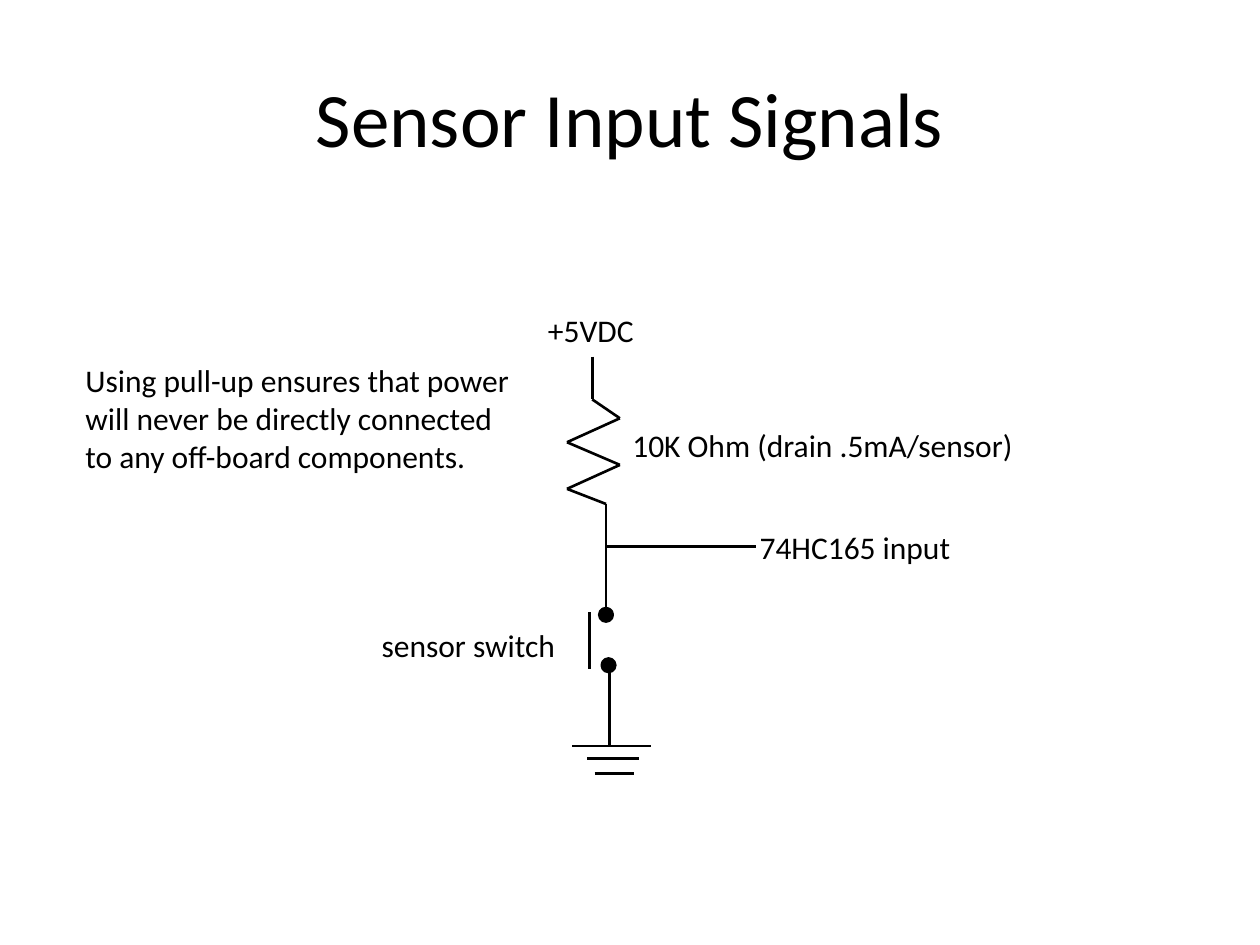
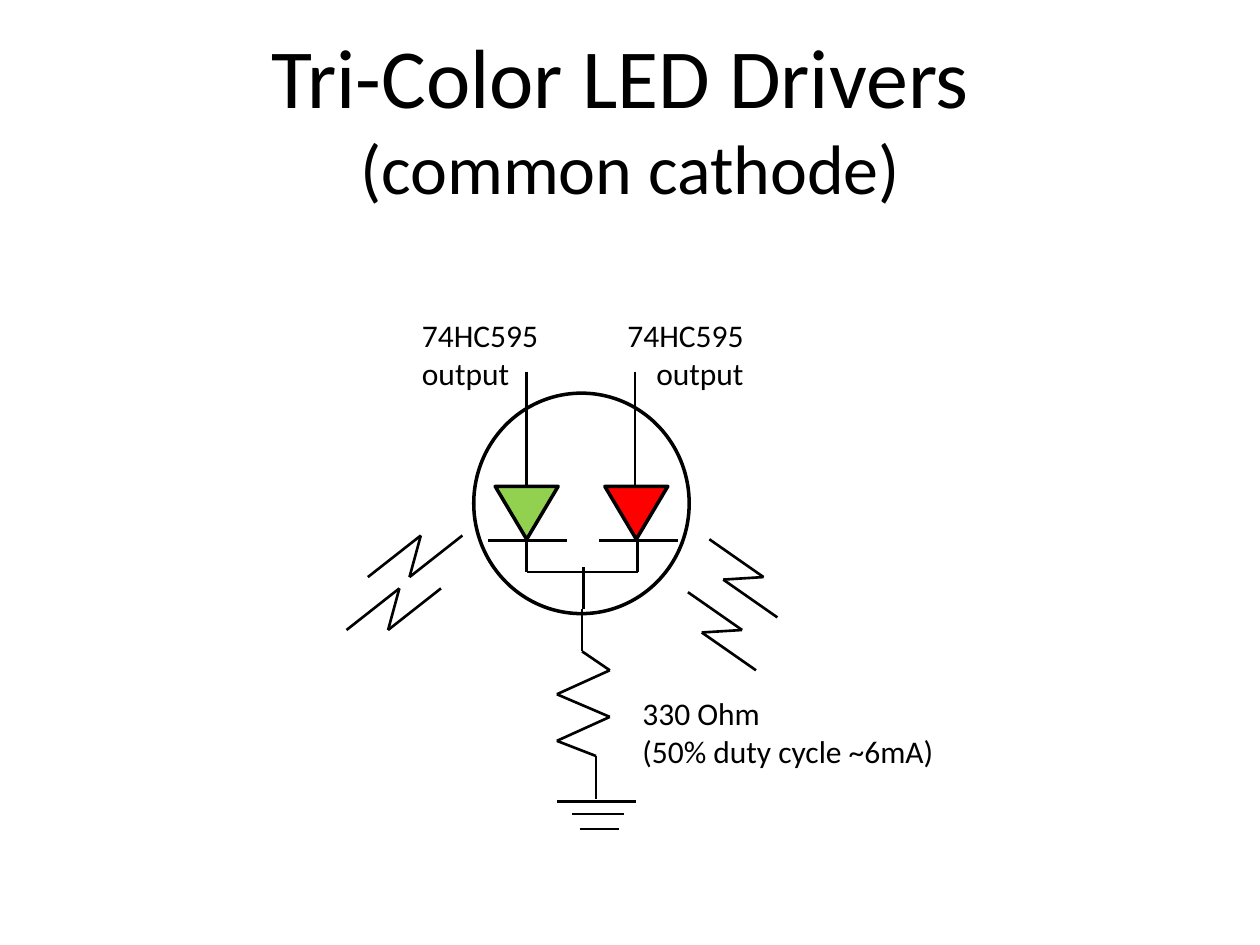
from itertools import pairwise

from lxml.etree import SubElement
from pptx import Presentation
from pptx.dml.color import RGBColor
from pptx.enum.shapes import MSO_CONNECTOR, MSO_SHAPE
from pptx.enum.text import MSO_ANCHOR, MSO_AUTO_SIZE, PP_ALIGN
from pptx.oxml.ns import qn
from pptx.util import Inches, Pt

# All positions count cells of a grid of 100 columns by 75 rows.
CELL = Inches(0.1)
COLUMNS, ROWS = 100, 75
FONT = "Calibri"
BLACK, GREEN, RED = "000000", "92D050", "FF0000"
color = RGBColor.from_string


def draw_wire(slide, points, width=1.5, origin=(0, 0)):
    """Join the points, given relative to the origin, with straight lines."""
    left, top = origin
    for (x1, y1), (x2, y2) in pairwise(points):
        ends = [round(cells * CELL) for cells in (left + x1, top + y1, left + x2, top + y2)]
        connector = slide.shapes.add_connector(MSO_CONNECTOR.STRAIGHT, *ends)
        connector.line.color.rgb = color(BLACK)
        connector.line.width = Pt(width)
        SubElement(connector._element.spPr, qn("a:effectLst"))


def add_label(slide, box, lines, alignment=PP_ALIGN.LEFT):
    textbox = slide.shapes.add_textbox(*[round(cells * CELL) for cells in box])
    frame = textbox.text_frame
    frame.word_wrap = True
    frame.auto_size = MSO_AUTO_SIZE.SHAPE_TO_FIT_TEXT
    for index, line in enumerate(lines):
        paragraph = frame.paragraphs[0] if index == 0 else frame.add_paragraph()
        paragraph.alignment = alignment
        run = paragraph.add_run()
        run.text = line
        run.font.name = FONT
        run.font.size = Pt(18)
        run.font.color.rgb = color(BLACK)


presentation = Presentation()
presentation.slide_width = COLUMNS * CELL
presentation.slide_height = ROWS * CELL

# Slides and titles
titles = [
    [("Sensor Input Signals", 44)],
    [("Tri-Color LED Drivers ", 48), ("(common cathode)", 40)],
]
for title_lines in titles:
    slide = presentation.slides.add_slide(presentation.slide_layouts[5])
    title = slide.shapes.title
    title.left, title.top = 5 * CELL, 3 * CELL
    title.width, title.height = 90 * CELL, round(12.5 * CELL)
    frame = title.text_frame
    frame.auto_size = MSO_AUTO_SIZE.NONE
    frame.vertical_anchor = MSO_ANCHOR.MIDDLE
    paragraph = frame.paragraphs[0]
    paragraph.alignment = PP_ALIGN.CENTER
    for index, (text, size) in enumerate(title_lines):
        if index:
            paragraph.add_line_break()
        run = paragraph.add_run()
        run.text = text
        run.font.name = FONT
        run.font.size = Pt(size)
        run.font.color.rgb = color(BLACK)

sensor_slide, led_slide = presentation.slides

# Resistor and ground symbol of both circuits
resistor = [(2, 0), (2, 3.4), (4.2, 4.9), (0, 6.8), (4.2, 8.6), (0, 10.5), (3.1, 11.7), (3.1, 15.1)]
ground_bars = [(0, 6.3, 0), (1.2, 5.3, 1), (1.8, 4.9, 2.2)]
for slide, resistor_origin, ground_origin in [
    (sensor_slide, (45, 28.3), (45.4, 59.2)),
    (led_slide, (44.2, 48.3), (44.2, 63.6)),
]:
    draw_wire(slide, resistor, origin=resistor_origin)
    for start, end, drop in ground_bars:
        draw_wire(slide, [(start, drop), (end, drop)], origin=ground_origin)

# Sensor switch and its signal line
for wire in [
    [(48.1, 43.4), (60, 43.4)],
    [(48.1, 43.4), (48.1, 48.3)],
    [(48.4, 53.3), (48.4, 59.2)],
    [(46.8, 48.6), (46.8, 53.1)],
]:
    draw_wire(sensor_slide, wire)

# Light emitting diodes: leads, cathode bars and common cathode
for anode, cathode in [(41.8, 41.8), (50.4, 50.6)]:
    draw_wire(led_slide, [(anode, 29.5), (anode, 38.6)])
    draw_wire(led_slide, [(cathode - 3.05, 42.9), (cathode + 3.2, 42.9)], width=2.25)
draw_wire(led_slide, [(41.8, 42.8), (41.8, 45.4), (50.6, 45.4), (50.6, 42.9)])
draw_wire(led_slide, [(46.3, 45), (46.3, 48.3)])

# Light rays: each side has a lower ray and a second one up and to the right
left_ray = [(27.5, 50), (31.7, 46.7), (30.8, 50), (35, 46.7)]
right_ray = [(54.6, 47), (58.9, 50), (55.7, 50.2), (60, 53.2)]
for ray in (left_ray, right_ray):
    for offset in [(0, 0), (1.7, -4.2)]:
        draw_wire(led_slide, ray, origin=offset)

# Switch contacts, diode bodies and LED housing
for slide, kind, box, fill, rotation in [
    (sensor_slide, MSO_SHAPE.OVAL, (47.6, 48.3, 1, 1), BLACK, 0),
    (sensor_slide, MSO_SHAPE.OVAL, (47.8, 52.3, 1, 1), BLACK, 0),
    (led_slide, MSO_SHAPE.ISOSCELES_TRIANGLE, (39.3, 38.6, 5, 4.2), GREEN, 180),
    (led_slide, MSO_SHAPE.ISOSCELES_TRIANGLE, (48, 38.6, 5, 4.2), RED, 180),
    (led_slide, MSO_SHAPE.OVAL, (37.6, 31.2, 17.1, 17.5), None, 0),
]:
    shape = slide.shapes.add_shape(kind, *[round(cells * CELL) for cells in box])
    shape.rotation = rotation
    shape.shadow.inherit = False
    shape.line.color.rgb = color(BLACK)
    shape.line.width = Pt(2)
    if fill:
        shape.fill.solid()
        shape.fill.fore_color.rgb = color(fill)
    else:
        shape.fill.background()

# Labels
for box, text in [
    ((42.5, 24.2, 9.2, 4), "+5VDC"),
    ((59.3, 41.4, 18.2, 4), "74HC165 input"),
    ((29.3, 49.2, 18.2, 4), "sensor switch"),
    ((49.2, 33.3, 32.5, 4), "10K Ohm (drain .5mA/sensor)"),
    (
        (5.8, 28.2, 36.7, 10),
        "Using pull-up ensures that power will never be directly connected "
        "to any off-board components.",
    ),
]:
    add_label(sensor_slide, box, [text])

for left, alignment in [(47.5, PP_ALIGN.RIGHT), (32.5, PP_ALIGN.LEFT)]:
    add_label(led_slide, (left, 24.6, 12.5, 7), ["74HC595 output"], alignment)
add_label(led_slide, (50, 54.6, 32.5, 7), ["330 Ohm", "(50% duty cycle ~6mA)"])

presentation.save("out.pptx")
